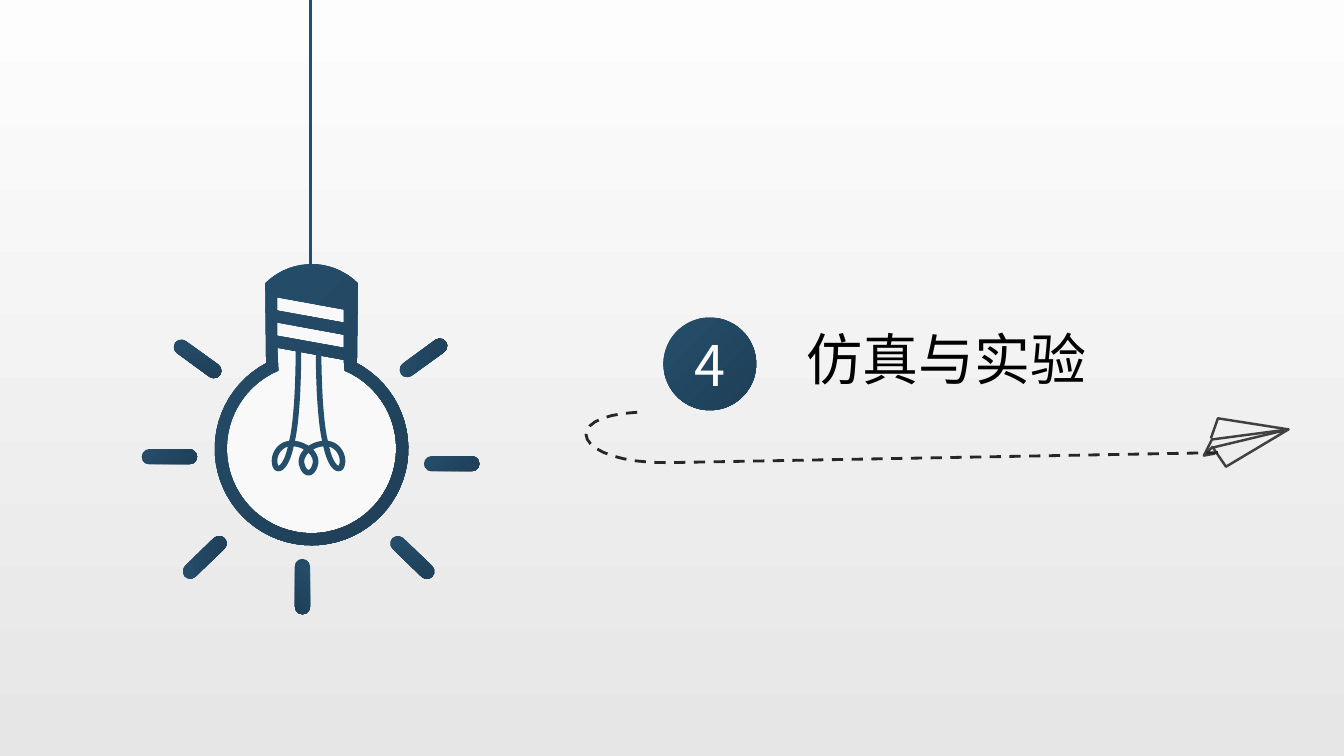
from math import cos, radians, sin

from lxml.etree import SubElement
from pptx import Presentation
from pptx.dml.color import RGBColor
from pptx.enum.dml import MSO_LINE_DASH_STYLE as Dash
from pptx.enum.shapes import MSO_CONNECTOR as Connector, MSO_SHAPE as Shape
from pptx.enum.text import MSO_ANCHOR as Anchor, PP_ALIGN as Align
from pptx.oxml.ns import qn
from pptx.util import Inches, Pt

NAVY = RGBColor(0x25, 0x4E, 0x6B)
DEEP_NAVY = RGBColor(0x1F, 0x3F, 0x57)
PAPER = RGBColor(0xFD, 0xFD, 0xFD)
MIST = RGBColor(0xE6, 0xE6, 0xE6)
GLASS = RGBColor(0xF9, 0xF9, 0xF9)
NUMBER = RGBColor(0xFC, 0xFC, 0xFC)
BLACK = RGBColor(0, 0, 0)
PLANE_GREY = RGBColor(0x40, 0x40, 0x40)
TRAIL_GREY = RGBColor(0x26, 0x26, 0x26)
FONT = "Noto Sans CJK JP"

GLASS_CENTRE = (0.96, 1.83)
FILAMENT_AXIS = 0.93
HALF_FILAMENT = [
    (0.83, 0.86), (0.83, 1.2, 0.81, 1.6, 0.76, 1.78), (0.73, 1.95, 0.66, 2.06, 0.61, 2.02),
    (0.56, 1.94, 0.62, 1.78, 0.76, 1.78), (0.9, 1.78, 1.01, 1.88, 1, 1.97),
    (0.99, 2.03, 0.96, 2.07, FILAMENT_AXIS, 2.07)]
RAYS = [
    (2.35, 1.98, 0), (0.87, 3.2, 90), (-0.45, 1.91, 0), (-0.17, 0.94, 36),
    (2.07, 0.93, -36), (-0.1, 2.91, -44), (1.96, 2.91, 44)]
NOSE = (0.87, 0.13)
TAIL = (0.03, 0.39)
PLANE_FOLDS = [
    [(0.1, 0.22), (0.17, 0.02), NOSE, (0.25, 0.5), (0.12, 0.31), NOSE],
    [NOSE, (0.11, 0.23), TAIL, (0.14, 0.37)],
    [TAIL, (0.12, 0.3)]]
TRAIL = [(0.5, 0), (-0.3, 0.04, -0.12, 0.51, 0.8, 0.5), (6.3, 0.4)]


def flatten(contour, steps=16):
    points = []
    for segment in contour:
        if len(segment) == 2:
            points.append(segment)
            continue
        start = points[-1]
        for step in range(1, steps + 1):
            t = step / steps
            u = 1 - t
            points.append(tuple(
                u ** 3 * start[i] + 3 * u * u * t * segment[i]
                + 3 * u * t * t * segment[i + 2] + t ** 3 * segment[i + 4] for i in (0, 1)))
    return points


def arc(centre, radius, begin, end, steps=60):
    x, y = centre
    angles = [radians(begin + (end - begin) * step / steps) for step in range(steps + 1)]
    return [(x + radius * cos(angle), y + radius * sin(angle)) for angle in angles]


def fill_gradient(fill, first, last, angle):
    fill.gradient()
    fill.gradient_angle = angle
    for stop, color, position in zip(fill.gradient_stops, (first, last), (0, 1)):
        stop.color.rgb = color
        stop.position = position


def fill_navy(shape):
    fill_gradient(shape.fill, NAVY, DEEP_NAVY, 315)
    shape.line.fill.background()
    shape.shadow.inherit = False


def draw_outline(page, left, top, contours, close=True):
    fine = [[(x * 10000, y * 10000) for x, y in points] for points in contours]
    builder = page.shapes.build_freeform(*fine[0][0], scale=Inches(1) / 10000)
    builder.add_line_segments(fine[0][1:], close=close)
    for points in fine[1:]:
        builder.move_to(*points[0])
        builder.add_line_segments(points[1:], close=close)
    shape = builder.convert_to_shape(Inches(left), Inches(top))
    shape.shadow.inherit = False
    return shape


def draw_stroke(page, left, top, contours, color, **formats):
    stroke = draw_outline(page, left, top, contours, close=False)
    stroke.fill.background()
    stroke.line.color.rgb = color
    for name, value in formats.items():
        setattr(stroke.line, name, value)


def write_text(shape, text, color, align):
    frame = shape.text_frame
    frame.word_wrap = True
    frame.vertical_anchor = Anchor.MIDDLE
    para = frame.paragraphs[0]
    para.alignment = align
    span = para.add_run()
    span.text = text
    for name, value in {"size": Pt(40), "name": FONT}.items():
        setattr(span.font, name, value)
    span.font.color.rgb = color
    SubElement(span.font._element, qn("a:ea")).set("typeface", FONT)


def draw_wire(page, left, bottom):
    wire = page.shapes.add_connector(
        Connector.STRAIGHT, Inches(left), 0, Inches(left), Inches(bottom))
    wire.line.color.rgb = NAVY
    wire.line.width = Pt(2.25)
    SubElement(wire._element.spPr, qn("a:effectLst"))


def draw_rays(page, left, top, length=0.55, thickness=0.15):
    for x, y, angle in RAYS:
        ray = page.shapes.add_shape(
            Shape.ROUNDED_RECTANGLE, Inches(left + x - length / 2),
            Inches(top + y - thickness / 2), Inches(length), Inches(thickness))
        ray.adjustments[0] = 0.5
        ray.rotation = angle
        fill_navy(ray)


def draw_bulb(page, left, top):
    draw_wire(page, left + 0.95, top)
    outline = arc(GLASS_CENTRE, 0.96, -62, 242) + arc((0.96, 0.65), 0.65, 225, 315)
    glass = draw_outline(page, left, top, [outline])
    glass.fill.solid()
    glass.fill.fore_color.rgb = GLASS
    glass.line.fill.background()
    bands = [
        [(0.62, y), (1.28, y + 0.12), (1.28, y + 0.25), (0.62, y + 0.13)] for y in (0.33, 0.58)]
    inside = arc(GLASS_CENTRE, 0.84, -67, 247) + [(0.62, 0.83), (1.28, 0.95)]
    fill_navy(draw_outline(page, left, top, [outline, *bands, inside]))
    half = flatten(HALF_FILAMENT)
    mirrored = [(2 * FILAMENT_AXIS - x, y) for x, y in reversed(half)]
    draw_stroke(page, left, top, [half + mirrored], NAVY, width=Pt(4))
    draw_rays(page, left, top)


def draw_flight(page, left, top):
    draw_stroke(page, left + 6.09, top + 0.04, PLANE_FOLDS, PLANE_GREY, width=Pt(1.75))
    draw_stroke(page, left, top, [flatten(TRAIL)], TRAIL_GREY,
                width=Pt(2), dash_style=Dash.DASH)


def draw_heading(page, left, top, number, title):
    badge = page.shapes.add_shape(
        Shape.OVAL, Inches(left), Inches(top), Inches(0.92), Inches(0.92))
    fill_navy(badge)
    for side in ("left", "right", "top", "bottom"):
        setattr(badge.text_frame, f"margin_{side}", 0)
    write_text(badge, number, NUMBER, Align.CENTER)
    box = page.shapes.add_textbox(
        Inches(left + 1.32), Inches(top + 0.02), Inches(4.22), Inches(0.77))
    write_text(box, title, BLACK, Align.JUSTIFY)


def build_section_page(deck):
    page = deck.slides.add_slide(deck.slide_layouts[6])
    fill_gradient(page.background.fill, PAPER, MIST, 270)
    draw_bulb(page, 2.13, 2.62)
    draw_flight(page, 5.82, 4.09)
    draw_heading(page, 6.58, 3.15, "4", "仿真与实验")


def main():
    deck = Presentation()
    deck.slide_width = Inches(13.33)
    deck.slide_height = Inches(7.5)
    build_section_page(deck)
    deck.save("out.pptx")


if __name__ == "__main__":
    main()
